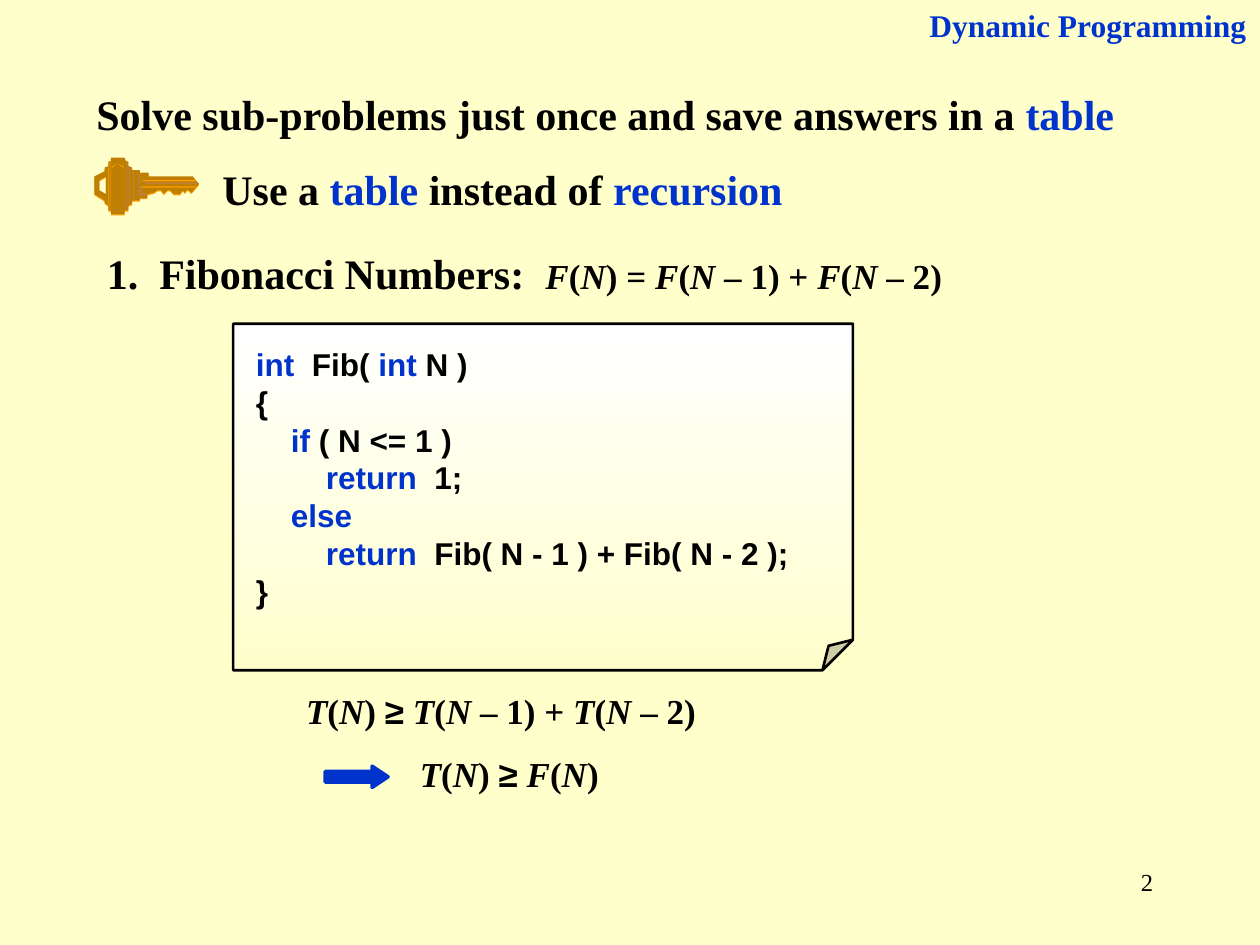
"""Build the slide on dynamic programming and Fibonacci numbers."""
from itertools import groupby

from lxml import etree
from pptx import Presentation
from pptx import util as u
from pptx.dml.color import RGBColor
from pptx.enum import shapes, text
from pptx.oxml import ns

CREAM = RGBColor(0xFF, 0xFF, 0xCC)
WHITE = RGBColor(0xFF, 0xFF, 0xFF)
BLACK = RGBColor(0, 0, 0)
BLUE = RGBColor(0x00, 0x33, 0xCC)
GOLD = RGBColor(0xFF, 0x9F, 0x00)
BRONZE = RGBColor(0xBF, 0x7F, 0x00)
BROWN = RGBColor(0xBF, 0x7F, 0x3F)
SERIF, SANS = "Times New Roman", "Arial"

KEY_UNIT = u.Pt(0.72)
KEY_OUTLINE = [
    (75, 154), (75, 140), (79, 143), (79, 151), (84, 154), (84, 140),
    (79, 143), (75, 140), (83, 136), (83, 133), (86, 132), (86, 128),
    (88, 128), (88, 125), (99, 125), (100, 128), (102, 128), (102, 132),
    (105, 133), (105, 135), (111, 135), (111, 137), (118, 137), (118, 140),
    (153, 140), (158, 146), (152, 153), (150, 151), (148, 151), (147, 153),
    (145, 151), (143, 154), (138, 154), (135, 151), (133, 151), (130, 154),
    (128, 151), (125, 151), (122, 153), (117, 154), (117, 157), (111, 157),
    (111, 159), (105, 159), (105, 162), (102, 163), (102, 167), (99, 167),
    (99, 170), (88, 170), (88, 167), (86, 167), (86, 163), (83, 161),
    (83, 159),
]
KEY_DETAILS = [
    (BROWN, [(94, 164), (89, 161), (89, 132), (89, 161), (94, 164),
             (98, 161), (98, 162)]),
    (GOLD, [(93, 130), (98, 132), (98, 162), (98, 133), (93, 130),
            (89, 133), (89, 132)]),
    (GOLD, [(111, 148), (156, 148), (155, 149), (112, 149)]),
    (GOLD, [(112, 143), (155, 143), (156, 144), (116, 144)]),
    (BROWN, [(112, 143), (118, 145), (157, 145), (158, 146), (117, 146)]),
    (BROWN, [(117, 154), (116, 155), (111, 155), (111, 157), (110, 157),
             (110, 137), (111, 137), (111, 148), (113, 149), (113, 153)]),
    (BROWN, [(102, 162), (102, 132), (103, 132), (103, 162)]),
]
KEY_GROOVES = [
    (GOLD, 62.8, 91.8, 0.3, 28),
    (GOLD, 61.8, 95.8, 0.3, 21.6),
    (BROWN, 72, 92.2, 0.72, 28),
    (BROWN, 76, 97.6, 0.72, 17.2),
]
CODE = [
    "*int*  Fib( *int* N )",
    "{",
    "    *if* ( N <= 1 )",
    "        *return*  1;",
    "    *else*",
    "        *return*  Fib( N - 1 ) + Fib( N - 2 );",
    "}",
]


def add_marked(paragraph, marked, size, face=SERIF):
    """Write bold text in which *starred* words are blue."""
    for index, part in enumerate(marked.split("*")):
        if part:
            run = paragraph.add_run()
            run.text = part
            run.font.color.rgb = BLUE if index % 2 else BLACK
    set_font(paragraph, size, face)


def set_font(paragraph, size, face=SERIF, bold=True):
    """Set the font shared by the runs of a paragraph."""
    font = paragraph.font
    font.name, font.size, font.bold = face, u.Pt(size), bold


def add_formula(paragraph, formula):
    """Write a 20-point formula with italic letters and a sans-serif ≥."""
    def style(character):
        """Tell how a character of the formula is set."""
        return character.isalpha(), character == "≥"

    for (italic, sans), characters in groupby(formula, style):
        run = paragraph.add_run()
        run.text = "".join(characters)
        run.font.italic = italic
        run.font.size = u.Pt(20)
        run.font.color.rgb = BLACK
        if sans:
            run.font.name = SANS


def add_box(slide, left, top, width, height, align=text.PP_ALIGN.LEFT):
    """Add a wrapping text box and return its text frame."""
    box = slide.shapes.add_textbox(*map(u.Pt, (left, top, width, height)))
    box.text_frame.word_wrap = True
    box.text_frame.paragraphs[0].alignment = align
    return box.text_frame


def paint(shape, colour):
    """Give a shape a flat fill without line or shadow."""
    shape.shadow.inherit = False
    shape.fill.solid()
    shape.fill.fore_color.rgb = colour
    shape.line.fill.background()


def add_polygon(group, points, colour, drop=0):
    """Add a closed outline, lowered by drop key units."""
    start, *rest = [(x, y + drop) for x, y in points]
    builder = group.shapes.build_freeform(*start, scale=KEY_UNIT)
    builder.add_line_segments(rest, close=True)
    paint(builder.convert_to_shape(), colour)


def add_key(slide):
    """Draw the key as one group."""
    group = slide.shapes.add_group_shape()
    add_polygon(group, KEY_OUTLINE, GOLD, drop=1)
    add_polygon(group, KEY_OUTLINE, BRONZE)
    for colour, points in KEY_DETAILS:
        add_polygon(group, points, colour)
    for colour, *frame in KEY_GROOVES:
        groove = group.shapes.add_shape(
            shapes.MSO_SHAPE.RECTANGLE, *map(u.Pt, frame))
        paint(groove, colour)


def add_code_note(slide):
    """Add the sheet with a folded corner that holds the code."""
    note = slide.shapes.add_shape(
        shapes.MSO_SHAPE.FOLDED_CORNER, *map(u.Pt, (133.2, 185, 354.2, 198)))
    note.shadow.inherit = False
    guides = next(note._element.iter(ns.qn("a:avLst")))
    etree.SubElement(guides, ns.qn("a:gd"), name="adj", fmla="val 8800")
    note.fill.gradient()
    note.fill.gradient_angle = 270
    for stop, colour in zip(note.fill.gradient_stops, (WHITE, CREAM)):
        stop.color.rgb = colour
    note.line.color.rgb = BLACK
    note.line.width = u.Pt(1.5)
    frame = note.text_frame
    frame.word_wrap = True
    frame.vertical_anchor = text.MSO_ANCHOR.TOP
    frame.margin_left, frame.margin_top = u.Pt(13), u.Pt(12.2)
    for index, line in enumerate(CODE):
        paragraph = frame.add_paragraph() if index else frame.paragraphs[0]
        paragraph.alignment = text.PP_ALIGN.LEFT
        add_marked(paragraph, line, 18, SANS)


def add_running_time(slide):
    """Add the two bounds on the running time and the arrow between them."""
    frame = add_box(slide, 167.8, 390.2, 258, 67.7)
    bound, result = frame.paragraphs[0], frame.add_paragraph()
    add_formula(bound, "T(N) ≥ T(N – 1) + T(N – 2)")
    set_font(bound, 20)
    result.space_before = u.Pt(12.5)
    result._p.get_or_add_pPr().set("marL", str(u.Pt(65)))
    add_formula(result, "T(N) ≥ F(N)")
    set_font(result, 20)
    arrow = slide.shapes.add_shape(
        shapes.MSO_SHAPE.RIGHT_ARROW, *map(u.Pt, (185.8, 437.8, 36, 12.2)))
    paint(arrow, BLUE)
    arrow.adjustments[1] = 0.751
    arrow.line.color.rgb = BLUE
    arrow.line.width = u.Pt(2)


def main():
    """Build and save the slide."""
    presentation = Presentation()
    presentation.slide_width, presentation.slide_height = u.Pt(720), u.Pt(540)
    slide = presentation.slides.add_slide(presentation.slide_layouts[6])
    slide.background.fill.solid()
    slide.background.fill.fore_color.rgb = CREAM

    right = text.PP_ALIGN.RIGHT
    number = add_box(slide, 516, 492, 150, 36, right).paragraphs[0]
    number.text = "2"
    set_font(number, 14, bold=False)
    number.font.color.rgb = BLACK

    add_key(slide)
    advice = add_box(slide, 120, 90, 342, 36).paragraphs[0]
    add_marked(advice, "Use a *table* instead of *recursion*", 24)
    example = add_box(slide, 54, 138.2, 510, 36).paragraphs[0]
    add_marked(example, "1.  Fibonacci Numbers:  ", 24)
    add_formula(example, "F(N) = F(N – 1) + F(N – 2)")
    add_code_note(slide)
    add_running_time(slide)
    header = add_box(slide, 468, 0, 251.3, 29, right).paragraphs[0]
    add_marked(header, "*Dynamic Programming*", 18)
    idea = add_box(slide, 48, 46.8, 607, 36).paragraphs[0]
    add_marked(
        idea, "Solve sub-problems just once and save answers in a *table*", 24)
    presentation.save("out.pptx")


if __name__ == "__main__":
    main()
